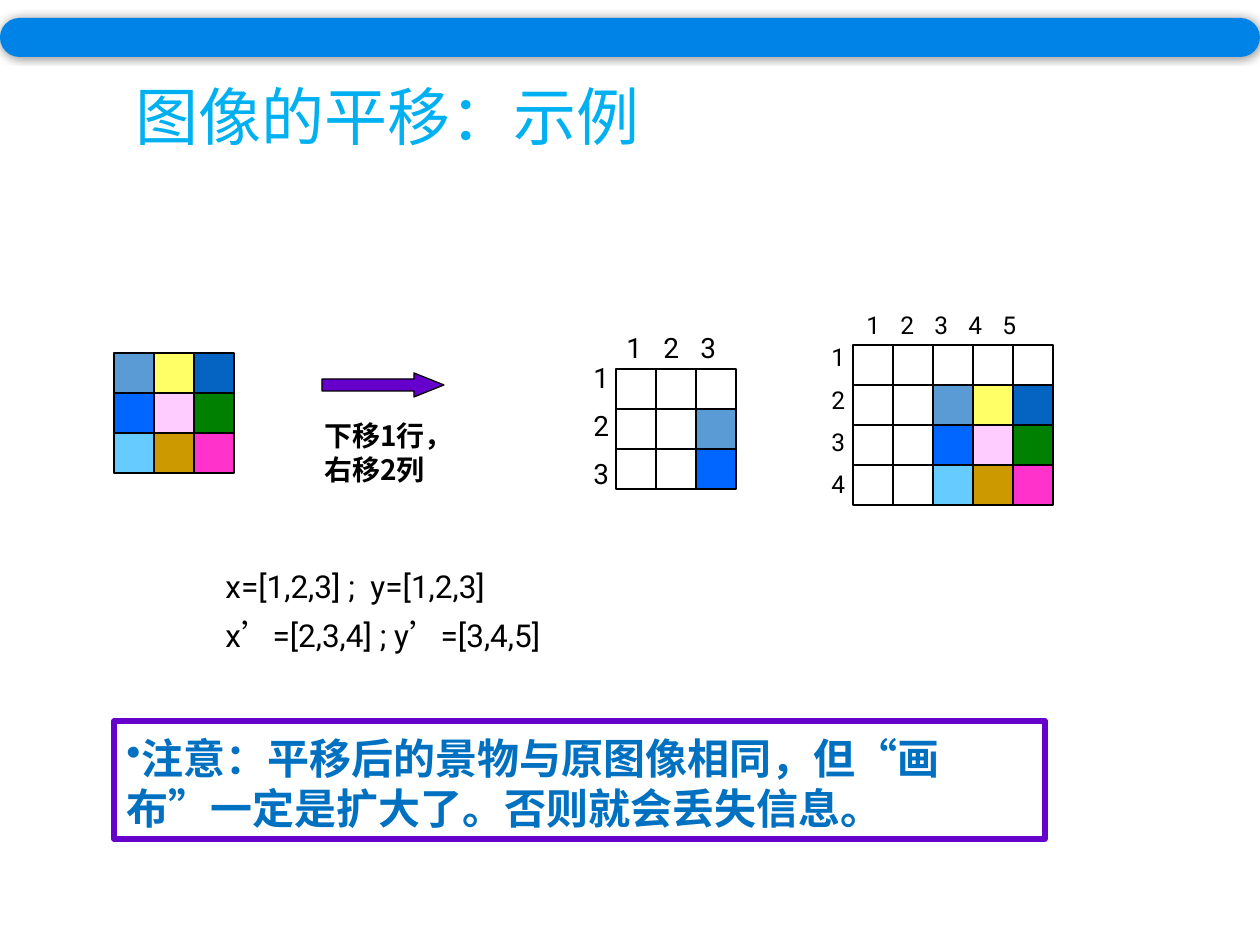
from lxml.etree import SubElement
from pptx import Presentation
from pptx.dml.color import RGBColor
from pptx.enum.shapes import MSO_SHAPE
from pptx.enum.text import MSO_ANCHOR, PP_ALIGN
from pptx.oxml.ns import qn
from pptx.util import Emu, Pt

BLACK = RGBColor(0x00, 0x00, 0x00)
WHITE = RGBColor(0xFF, 0xFF, 0xFF)
BAR_BLUE = RGBColor(0x00, 0x83, 0xE6)
TITLE_BLUE = RGBColor(0x00, 0xB0, 0xF0)
NOTE_BLUE = RGBColor(0x00, 0x70, 0xC0)
PURPLE = RGBColor(0x66, 0x00, 0xCC)
STEEL = RGBColor(0x5B, 0x9B, 0xD5)
YELLOW = RGBColor(0xFF, 0xFF, 0x66)
NAVY = RGBColor(0x05, 0x63, 0xC1)
BLUE = RGBColor(0x00, 0x66, 0xFF)
PINK = RGBColor(0xFF, 0xCC, 0xFF)
GREEN = RGBColor(0x00, 0x80, 0x00)
SKY = RGBColor(0x66, 0xCC, 0xFF)
OCHRE = RGBColor(0xCC, 0x99, 0x00)
MAGENTA = RGBColor(0xFF, 0x33, 0xCC)

HAN = "Noto Sans CJK SC"
LATIN = "Roboto"
CELL = 40


def px(length):
    return Emu(round(length * 914400 / 126))


class SlideBuilder:
    def __init__(self, page):
        self.page = page

    def shape(self, kind, left, top, width, height, fill=None, line=None, weight=0.75):
        shape = self.page.shapes.add_shape(kind, px(left), px(top), px(width), px(height))
        shape.shadow.inherit = False
        if fill is None:
            shape.fill.background()
        else:
            shape.fill.solid()
            shape.fill.fore_color.rgb = fill
        if line is None:
            shape.line.fill.background()
        else:
            shape.line.color.rgb = line
            shape.line.width = Pt(weight)
        return shape

    def bar(self, left, top, width, height):
        bar = self.shape(MSO_SHAPE.ROUNDED_RECTANGLE, left, top, width, height, BAR_BLUE)
        bar.adjustments[0] = 0.5
        effects = bar._element.spPr.find(qn("a:effectLst"))
        shadow = SubElement(effects, qn("a:outerShdw"), blurRad=str(Pt(5)), dist="0")
        color = SubElement(shadow, qn("a:srgbClr"), val="000000")
        SubElement(color, qn("a:alpha"), val="40000")

    def arrow(self, left, top, width, height):
        arrow = self.shape(MSO_SHAPE.RIGHT_ARROW, left, top, width, height, PURPLE, BLACK)
        arrow.adjustments[0] = 0.5
        arrow.adjustments[1] = 1.25

    def grid(self, left, top, rows):
        for row, colors in enumerate(rows):
            for column, color in enumerate(colors):
                self.shape(MSO_SHAPE.RECTANGLE, left + column * CELL, top + row * CELL,
                           CELL, CELL, color, BLACK)

    def set_text(self, box, lines, size, color=BLACK, font=LATIN, bold=False, before=0,
                 spacing=None, bullet=None, tabs=(), anchor=MSO_ANCHOR.TOP):
        frame = box.text_frame
        frame.word_wrap = True
        frame.vertical_anchor = anchor
        for index, spans in enumerate(lines):
            paragraph = frame.paragraphs[0] if index == 0 else frame.add_paragraph()
            paragraph.alignment = PP_ALIGN.LEFT
            if spacing:
                paragraph.line_spacing = spacing
            if index and before:
                paragraph.space_before = Pt(before)
            properties = paragraph._p.get_or_add_pPr()
            if bullet:
                properties.set("marL", "0")
                properties.set("indent", "0")
                SubElement(properties, qn("a:buChar"), char=bullet)
            if tabs:
                stops = SubElement(properties, qn("a:tabLst"))
                for stop in tabs:
                    SubElement(stops, qn("a:tab"), pos=str(px(stop)), algn="l")
            paragraph.font.size = Pt(size)
            paragraph.font.bold = bold
            paragraph.font.color.rgb = color
            mixed = isinstance(spans, list)
            if not mixed:
                self.typeface(paragraph.font, font)
            for text, name in spans if mixed else [(spans, None)]:
                span = paragraph.add_run()
                span.text = text
                if name:
                    self.typeface(span.font, name)

    def typeface(self, font, name):
        font.name = name
        SubElement(font._element, qn("a:ea"), typeface=name)

    def text(self, left, top, width, height, lines, size, **style):
        box = self.page.shapes.add_textbox(px(left), px(top), px(width), px(height))
        self.set_text(box, lines, size, **style)

    def column_numbers(self, left, top, width, height, count, step, size):
        numbers = "\t".join(str(number + 1) for number in range(count))
        stops = [step * number for number in range(1, count)]
        self.text(left, top, width, height, [numbers], size, tabs=stops)

    def row_numbers(self, left, top, height, count, size, before):
        numbers = [str(number + 1) for number in range(count)]
        self.text(left, top, 73, height, numbers, size, before=before)


def main():
    deck = Presentation()
    deck.slide_width, deck.slide_height = px(1260), px(945)
    builder = SlideBuilder(deck.slides.add_slide(deck.slide_layouts[6]))

    source = [[STEEL, YELLOW, NAVY], [BLUE, PINK, GREEN], [SKY, OCHRE, MAGENTA]]
    cropped = [[WHITE] * 3] + [[WHITE] * 2 + row[:1] for row in source[:2]]
    expanded = [[WHITE] * 5] + [[WHITE] * 2 + row for row in source]

    builder.text(123, 45, 861, 151, ["图像的平移：示例"], 36, color=TITLE_BLUE,
                 font=HAN, spacing=0.9, anchor=MSO_ANCHOR.MIDDLE)
    builder.grid(114, 353, source)

    note = builder.shape(MSO_SHAPE.RECTANGLE, 114, 721, 931, 118, line=PURPLE, weight=3)
    builder.set_text(note, ["注意：平移后的景物与原图像相同，但“画布”一定是扩大了。否则就会丢失信息。"],
                     24, color=NOTE_BLUE, font=HAN, bold=True, spacing=Pt(28.5),
                     bullet="•", anchor=MSO_ANCHOR.BOTTOM)

    builder.arrow(322, 373, 122, 24)
    builder.text(312, 413, 169, 81, ["下移1行，右移2列"], 16, font=HAN, bold=True,
                 spacing=Pt(19))
    builder.text(213, 561, 473, 107, [
        "x=[1,2,3] ;  y=[1,2,3]",
        [("x", LATIN), ("’", HAN), ("=[2,3,4] ; y", LATIN), ("’", HAN), ("=[3,4,5]", LATIN)],
    ], 18, before=6)

    builder.grid(616, 369, cropped)
    builder.column_numbers(614, 324, 136, 47, 3, 37, 16)
    builder.row_numbers(581, 354, 147, 3, 16, 8.4)

    builder.grid(853, 345, expanded)
    builder.column_numbers(854, 304, 231, 42, 5, 34, 14)
    builder.row_numbers(819, 336, 174, 4, 14, 7.4)

    builder.bar(0, 18, 1260, 39)
    deck.save("out.pptx")


if __name__ == "__main__":
    main()
